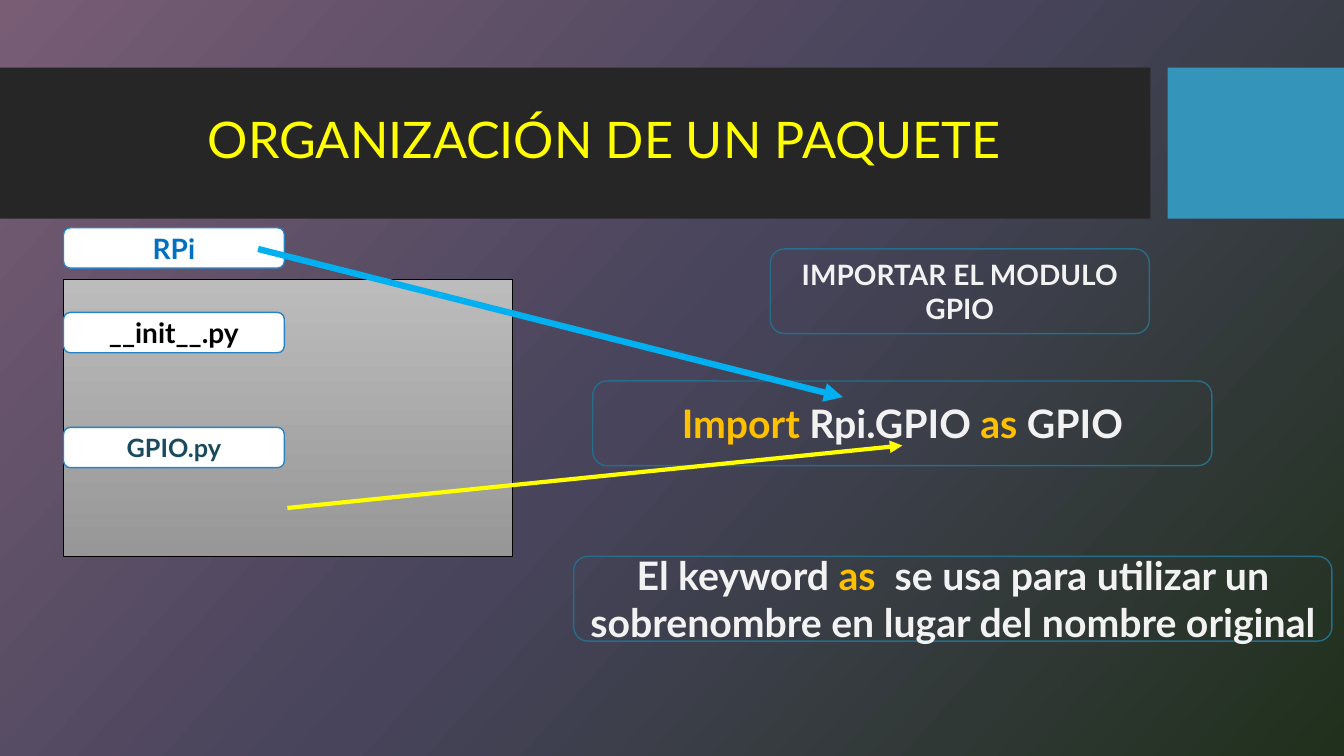
from copy import deepcopy

from pptx import Presentation
from pptx.dml.color import RGBColor
from pptx.enum import shapes as es, text as et
from pptx.oxml.ns import qn
from pptx.oxml.xmlchemy import OxmlElement
from pptx.util import Inches, Pt

FONT = "Lato"
BLACK = RGBColor(0x00, 0x00, 0x00)
WHITE = RGBColor(0xFF, 0xFF, 0xFF)
PALE = RGBColor(0xF2, 0xF2, 0xF2)
DARK = RGBColor(0x26, 0x26, 0x26)
TEAL = RGBColor(0x34, 0x94, 0xBA)
EDGE = RGBColor(0x26, 0x6D, 0x8A)
BLUE = RGBColor(0x26, 0x83, 0xC6)
NAVY = RGBColor(0x1A, 0x4A, 0x5D)
NAME = RGBColor(0x00, 0x70, 0xC0)
SKY = RGBColor(0x00, 0xB0, 0xF0)
YELLOW = RGBColor(0xFF, 0xFF, 0x00)
AMBER = RGBColor(0xFF, 0xC0, 0x00)
BACK = [RGBColor(0x78, 0x5D, 0x75), RGBColor(0x47, 0x44, 0x5B),
        RGBColor(0x20, 0x30, 0x1C)]
GREY = [RGBColor(0xBC, 0xBC, 0xBC), RGBColor(0x97, 0x97, 0x97)]

RECT = es.MSO_SHAPE.RECTANGLE
ROUND = es.MSO_SHAPE.ROUNDED_RECTANGLE


def shade(fill, root, colors, angle):
    """Fill with evenly spaced gradient colours, angle clockwise."""
    fill.gradient()
    fill.gradient_angle = 360 - angle
    stops = next(root.iter(qn("a:gsLst")))
    while len(stops) < len(colors):
        stops.append(deepcopy(stops[0]))
    for i, (stop, color) in enumerate(zip(fill.gradient_stops, colors)):
        stop.color.rgb = color
        stop.position = i / (len(colors) - 1)


def write(shape, lines, size, bold=True, space=None):
    """Each line is a list of (words, colour) runs."""
    frame = shape.text_frame
    frame.word_wrap = True
    frame.vertical_anchor = et.MSO_ANCHOR.MIDDLE
    for i, runs in enumerate(lines):
        para = frame.add_paragraph() if i else frame.paragraphs[0]
        para.alignment = et.PP_ALIGN.CENTER
        if space:
            para.line_spacing = space
        for words, color in runs:
            run = para.add_run()
            run.text = words
            run.font.name = FONT
            run.font.size = Pt(size)
            run.font.bold = bold
            run.font.color.rgb = color


def box(slide, kind, area, fill=None, line=None, width=1):
    shape = slide.shapes.add_shape(kind, *map(Inches, area))
    shape.shadow.inherit = False
    if isinstance(fill, list):
        shade(shape.fill, shape.element, fill, 90)
    elif fill is not None:
        shape.fill.solid()
        shape.fill.fore_color.rgb = fill
    else:
        shape.fill.background()
    if line is not None:
        shape.line.color.rgb = line
        shape.line.width = Pt(width)
    else:
        shape.line.fill.background()
    return shape


def arrow(slide, start, end, color, width):
    link = slide.shapes.add_connector(
        es.MSO_CONNECTOR.STRAIGHT, *map(Inches, start + end))
    link.line.color.rgb = color
    link.line.width = Pt(width)
    head = OxmlElement("a:tailEnd")
    head.set("type", "triangle")
    link.line._get_or_add_ln().append(head)
    link.element.spPr.append(OxmlElement("a:effectLst"))


def main():
    deck = Presentation()
    deck.slide_width, deck.slide_height = Inches(13.33), Inches(7.5)
    slide = deck.slides.add_slide(deck.slide_layouts[6])
    shade(slide.background.fill, slide.element, BACK, 42)

    # Title band
    box(slide, RECT, (0, 0.67, 11.41, 1.5), DARK)
    box(slide, RECT, (11.58, 0.67, 1.75, 1.5), TEAL)
    title = slide.shapes.add_textbox(
        *map(Inches, (0.74, 0.82, 10.51, 1.18)))
    write(title, [[("ORGANIZACIÓN DE UN PAQUETE", YELLOW)]], 36,
          bold=False, space=0.9)

    # Package folder and its files
    box(slide, RECT, (0.63, 2.77, 4.45, 2.75), GREY, BLACK, 0.75)
    for top, name, color, size in [(2.26, "RPi", NAME, 20),
                                   (3.1, "__init__.py", BLACK, 20),
                                   (4.24, "GPIO.py", NAVY, 18)]:
        item = box(slide, ROUND, (0.63, top, 2.19, 0.4), WHITE, BLUE)
        write(item, [[(name, color)]], size)

    # Import statement and its heading
    code = box(slide, ROUND, (5.88, 3.78, 6.14, 0.84), line=EDGE)
    write(code, [[("Import ", AMBER), ("Rpi.GPIO ", PALE),
                  ("as", AMBER), (" GPIO", PALE)]], 28)
    head = box(slide, ROUND, (7.64, 2.47, 3.76, 0.84), line=EDGE)
    write(head, [[("IMPORTAR EL MODULO", PALE)], [("GPIO", PALE)]], 20)

    # Arrows from package parts to the statement
    arrow(slide, (2.56, 2.47), (8.36, 3.94), SKY, 4.5)
    arrow(slide, (2.85, 5.04), (8.95, 4.42), YELLOW, 3)

    # Note on the keyword
    note = box(slide, ROUND, (5.69, 5.52, 7.52, 0.84), line=EDGE)
    write(note, [[("El keyword ", PALE), ("as", AMBER),
                  ("  se usa para utilizar un sobrenombre en lugar "
                   "del nombre original", PALE)]], 28)

    deck.save("out.pptx")


if __name__ == "__main__":
    main()
